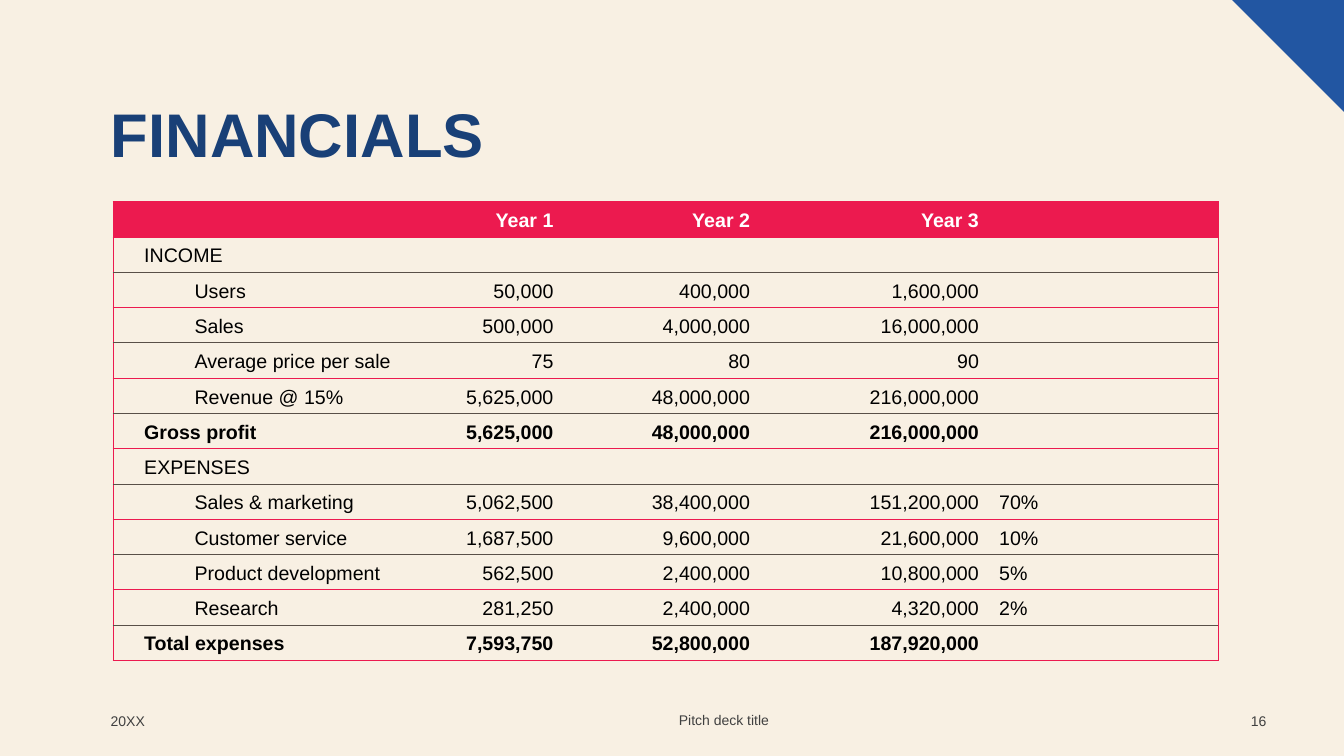
from lxml import etree
from pptx import Presentation
from pptx.dml.color import RGBColor
from pptx.enum.shapes import MSO_SHAPE
from pptx.enum.text import MSO_ANCHOR, MSO_AUTO_SIZE, PP_ALIGN
from pptx.oxml.ns import qn
from pptx.util import Pt

PX = 9144
FONT = "Arial"
CREAM = RGBColor(0xF8, 0xF0, 0xE3)
BLUE = RGBColor(0x22, 0x56, 0xA2)
NAVY = RGBColor(0x19, 0x40, 0x77)
RED = RGBColor(0xEC, 0x1A, 0x4F)
DARK = RGBColor(0x59, 0x50, 0x48)
GRAY = RGBColor(0x40, 0x40, 0x40)
BLACK = RGBColor(0, 0, 0)
WHITE = RGBColor(255, 255, 255)
LEFT, MID, RIGHT = PP_ALIGN.LEFT, PP_ALIGN.CENTER, PP_ALIGN.RIGHT
TOP, CENTER, BOTTOM = MSO_ANCHOR.TOP, MSO_ANCHOR.MIDDLE, MSO_ANCHOR.BOTTOM
CORNER = MSO_SHAPE.RIGHT_TRIANGLE
FIXED = MSO_AUTO_SIZE.NONE

COLS = (311, 136, 195, 227, 227)
ROW = 35
HEADS = ("Year 1", "Year 2", "Year 3")
ROWS = (
    ("", *HEADS, ""),
    ("INCOME", "", "", "", ""),
    ("Users", "50,000", "400,000", "1,600,000", ""),
    ("Sales", "500,000", "4,000,000", "16,000,000", ""),
    ("Average price per sale", "75", "80", "90", ""),
    ("Revenue @ 15%", "5,625,000", "48,000,000", "216,000,000", ""),
    ("Gross profit", "5,625,000", "48,000,000", "216,000,000", ""),
    ("EXPENSES", "", "", "", ""),
    ("Sales & marketing", "5,062,500", "38,400,000", "151,200,000", "70%"),
    ("Customer service", "1,687,500", "9,600,000", "21,600,000", "10%"),
    ("Product development", "562,500", "2,400,000", "10,800,000", "5%"),
    ("Research", "281,250", "2,400,000", "4,320,000", "2%"),
    ("Total expenses", "7,593,750", "52,800,000", "187,920,000", ""),
)
GROUPS = ("INCOME", "EXPENSES")
TOTALS = ("Gross profit", "Total expenses")


def scale(*box):
    """Turn px lengths into EMU."""
    return [n * PX for n in box]


def put(frame, text, size=14, color=BLACK, bold=False, align=LEFT, level=0, space=1.0):
    """Write one formatted paragraph into a text frame."""
    para = frame.paragraphs[0]
    para.alignment, para.level, para.line_spacing = align, level, space
    para._p.get_or_add_pPr().set("marL", str(level * 50 * PX))
    para._p.get_or_add_pPr().set("indent", "0")
    if text:
        run = para.add_run()
        run.text = text
        font = run.font
        font.name, font.size, font.bold = FONT, Pt(size), bold
        font.color.rgb = color
    para._p.get_or_add_endParaRPr().set("sz", str(size * 100))


def edge(cell, side, color=None):
    """Draw one cell border, or clear it when no colour is given."""
    line = etree.SubElement(cell._tc.get_or_add_tcPr(), qn(f"a:ln{side}"), w=str(Pt(0.5)))
    if color is None:
        etree.SubElement(line, qn("a:noFill"))
    else:
        fill = etree.SubElement(line, qn("a:solidFill"))
        etree.SubElement(fill, qn("a:srgbClr"), val=str(color))


def rule(num):
    """Give the colour of the horizontal line above a row."""
    return DARK if num % 2 == 0 and 0 < num < len(ROWS) else RED


def fill_cell(cell, text, row, col):
    """Format one table cell by its row and column."""
    last = len(COLS) - 1
    edge(cell, "L", RED if col == 0 else None)
    edge(cell, "R", RED if col == last else None)
    edge(cell, "T", rule(row))
    edge(cell, "B", rule(row + 1))
    if row == 0:
        cell.fill.solid()
        cell.fill.fore_color.rgb = RED
    else:
        cell.fill.background()
    cell.vertical_anchor = BOTTOM
    name = ROWS[row][0]
    if col == 0:
        cell.margin_left = 31 * PX
    put(cell.text_frame, text,
        color=WHITE if row == 0 else BLACK,
        bold=row == 0 or name in TOTALS,
        align=RIGHT if 0 < col < last else LEFT,
        level=int(col == 0 and row > 0 and name not in GROUPS + TOTALS))


def add_grid(slide, left, top):
    """Place the financial table."""
    box = scale(left, top, sum(COLS), ROW * len(ROWS))
    table = slide.shapes.add_table(len(ROWS), len(COLS), *box).table
    table.first_row = table.horz_banding = False
    for col, width in zip(table.columns, COLS):
        col.width = width * PX
    for row, texts in enumerate(ROWS):
        table.rows[row].height = ROW * PX
        for col, text in enumerate(texts):
            fill_cell(table.cell(row, col), text, row, col)


def add_title(slide, *box):
    """Place the slide title in its placeholder."""
    title = slide.shapes.title
    title.left, title.top, title.width, title.height = scale(*box)
    frame = title.text_frame
    frame.auto_size, frame.vertical_anchor, frame.word_wrap = FIXED, TOP, True
    put(frame, "FINANCIALS", size=44, color=NAVY, bold=True, space=0.9)


def add_corner(slide, left, top, side):
    """Place the blue triangle in the corner."""
    shape = slide.shapes.add_shape(CORNER, *scale(left, top, side, side))
    shape.rotation = 180
    shape.shadow.inherit = False
    shape.fill.solid()
    shape.fill.fore_color.rgb = BLUE
    shape.line.fill.background()


def add_note(slide, text, align, *box):
    """Place one footer text."""
    frame = slide.shapes.add_textbox(*scale(*box)).text_frame
    frame.word_wrap, frame.vertical_anchor = True, CENTER
    put(frame, text, size=10, color=GRAY, align=align)


def main():
    """Build the slide and save it."""
    deck = Presentation()
    deck.slide_width, deck.slide_height = scale(1333, 750)
    slide = deck.slides.add_slide(deck.slide_layouts[5])
    slide.background.fill.solid()
    slide.background.fill.fore_color.rgb = CREAM
    add_corner(slide, 1222, 0, 111)
    add_title(slide, 100, 98, 1150, 145)
    add_grid(slide, 112, 200)
    add_note(slide, "20XX", LEFT, 100, 695, 120, 40)
    add_note(slide, "Pitch deck title", MID, 593, 694, 250, 40)
    add_note(slide, "16", RIGHT, 1216, 695, 50, 40)
    deck.save("out.pptx")


if __name__ == "__main__":
    main()
